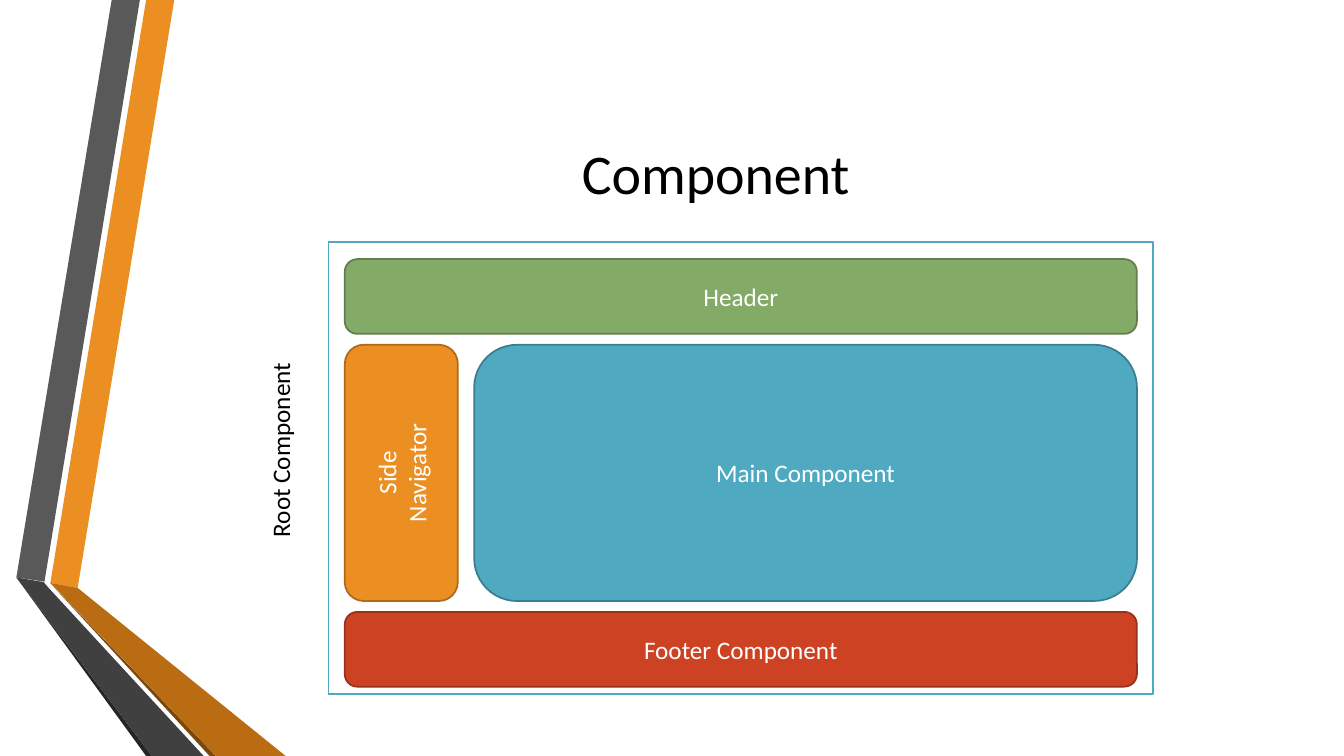
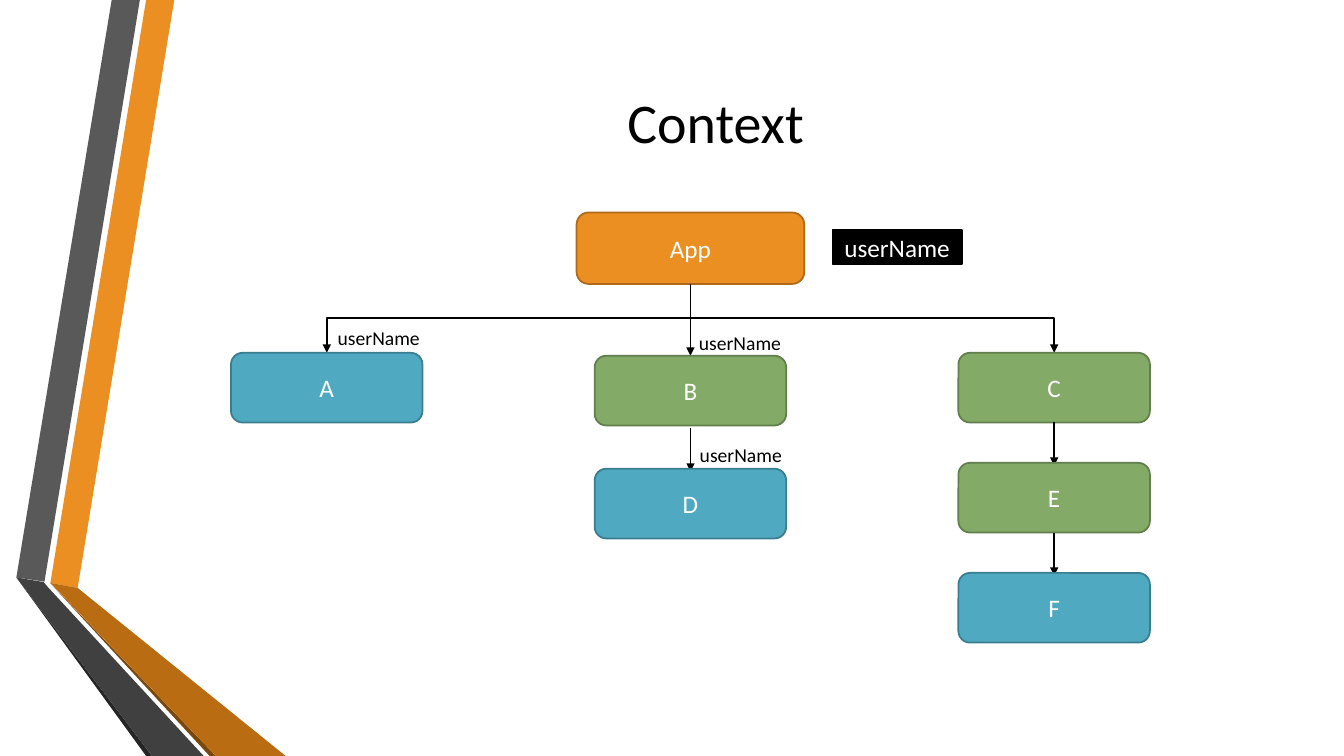
import dataclasses
import pptx
import pptx.util
import pptx.dml.color
import pptx.enum.shapes
import pptx.enum.text
import pptx.oxml.ns
import lxml.etree

COLS, ROWS = 160, 90
CELL = pptx.util.Inches(1) // 12
FORM = pptx.enum.shapes.MSO_SHAPE
WIRE = pptx.enum.shapes.MSO_CONNECTOR
ALIGN = pptx.enum.text.PP_ALIGN
ANCHOR = pptx.enum.text.MSO_ANCHOR
qn = pptx.oxml.ns.qn


@dataclasses.dataclass(frozen=True)
class Theme:
    font: str = "Calibri"
    head: int = 40
    text: int = 18
    small: int = 14
    line: float = 1.25
    black: str = "000000"
    white: str = "FFFFFF"
    green: tuple = ("83AA67", "617E4C")
    amber: tuple = ("EB8F22", "AE6A19")
    red: tuple = ("CD4223", "98311A")
    blue: tuple = ("4FA9C1", "3A7D8F")
    plain: tuple = ("FFFFFF", "4FA9C1")
    dark: tuple = ("000000", "000000")


@dataclasses.dataclass(frozen=True)
class Box:
    x: float
    y: float
    w: float
    h: float

    def inner(self, x, y, w, h):
        return Box(self.x + x, self.y + y, w, h)

    @property
    def mid(self):
        return self.x + self.w / 2

    @property
    def base(self):
        return self.y + self.h

    def emu(self):
        return [cells(v) for v in (self.x, self.y, self.w, self.h)]


THEME = Theme()
BANDS = [
    ("EB8F22", [(6, 69.4), (9.25, 70), (20.75, 0), (17.4, 0)]),
    ("595959", [(16.65, 0), (13.3, 0), (1.95, 68.75), (5.3, 69.25)]),
    ("262626", [(1.95, 68.75), (17.4, 90), (18.1, 90)]),
    ("7B480B", [(6, 69.45), (24.95, 90), (25.7, 90)]),
    ("B96C11", [(6, 69.4), (25.7, 90), (34, 90), (9.25, 70)]),
    ("404040", [(24.25, 90), (5.75, 69.95), (5.2, 69.3), (1.95, 68.75), (18.1, 90)]),
]


def cells(n):
    return pptx.util.Emu(round(n * CELL))


def rgb(code):
    return pptx.dml.color.RGBColor.from_string(code)


def write(shape, text, size=THEME.text, color=THEME.white, align=ALIGN.CENTER,
          anchor=ANCHOR.MIDDLE, wrap=True, turn=False):
    frame = shape.text_frame
    frame.text = text
    frame.word_wrap = wrap
    frame.vertical_anchor = anchor
    if turn:
        shape.element.find(".//" + qn("a:bodyPr")).set("vert", "vert270")
    for para in frame.paragraphs:
        para.alignment = align
        font = para.runs[0].font
        font.name = THEME.font
        font.size = pptx.util.Pt(size)
        font.color.rgb = rgb(color)


def paint(shape, fill, edge=None):
    shape.shadow.inherit = False
    shape.fill.solid()
    shape.fill.fore_color.rgb = rgb(fill)
    if edge:
        shape.line.color.rgb = rgb(edge)
        shape.line.width = pptx.util.Pt(THEME.line)
    else:
        shape.line.fill.background()


def block(slide, box, tone, text="", form=FORM.ROUNDED_RECTANGLE, **style):
    shape = slide.shapes.add_shape(form, *box.emu())
    paint(shape, *tone)
    if text:
        write(shape, text, **style)


def label(slide, box, text, **style):
    shape = slide.shapes.add_textbox(*box.emu())
    write(shape, text, color=THEME.black, **style)


def wire(slide, kind, *ends):
    link = slide.shapes.add_connector(kind, *[cells(v) for v in ends])
    link.line.color.rgb = rgb(THEME.black)
    link.line.width = pptx.util.Pt(THEME.line)
    props = link.element.spPr
    tip = lxml.etree.SubElement(props.find(qn("a:ln")), qn("a:tailEnd"))
    tip.set("type", "triangle")
    lxml.etree.SubElement(props, qn("a:effectLst"))
    return link


def drop(slide, x, top, end):
    wire(slide, WIRE.STRAIGHT, x, top, x, end)


def bend(slide, x, top, far, end):
    side = 1 if far > x else -1
    half, reach = side * (end - top) / 2, abs(far - x) / 2
    mx, my = (x + far) / 2, (top + end) / 2
    link = wire(slide, WIRE.ELBOW, mx + half, my - reach, mx - half, my + reach)
    turn = 270 if side > 0 else 90
    link.element.spPr.find(qn("a:xfrm")).set("rot", str(turn * 60000))


def bands(slide, layout):
    for spot, (tone, points) in enumerate(BANDS, 2):
        ends = [(cells(x), cells(y)) for x, y in points]
        pen = slide.shapes.build_freeform(*ends[0])
        pen.add_line_segments(ends[1:], close=True)
        shape = pen.convert_to_shape()
        paint(shape, tone)
        layout.shapes.element.insert(spot, shape.element)


def title(slide, text, rows):
    shape = slide.shapes.title
    shape.left, shape.top, shape.width, shape.height = Box(19.45, 9, 131.5, rows).emu()
    write(shape, text, size=THEME.head, color=THEME.black)


def panel(slide, box):
    pad, gap, bar, side = 1.95, 1.3, 8.9, 13.45
    wide = box.w - 2 * pad
    top = 2.05
    mid = top + bar + gap
    tall = box.h - top - 2 * (bar + gap) - 0.85
    main = pad + side + pad
    block(slide, box, THEME.plain, form=FORM.RECTANGLE)
    block(slide, box.inner(pad, top, wide, bar), THEME.green, "Header")
    block(slide, box.inner(pad, mid, side, tall), THEME.amber, "Side\nNavigator", turn=True)
    block(slide, box.inner(pad, mid + tall + gap, wide, bar), THEME.red, "Footer Component")
    block(slide, box.inner(main, mid, box.w - main - pad, tall), THEME.blue, "Main Component")
    label(slide, box.inner(-8.15, 13.8, 6, 22.55), "Root Component",
          align=ALIGN.LEFT, anchor=ANCHOR.TOP, wrap=False, turn=True)


def chain(slide, box, nodes, lag=0):
    wide, tall, gap, tip = 22.8, 8.3, 4.8, 5.15
    for i, (name, tone) in enumerate(nodes):
        node = box.inner(0, i * (tall + gap + lag), wide, tall)
        if i:
            above = node.y - gap
            drop(slide, node.mid, above, above + tip)
        block(slide, node, tone, name)


def tree(slide, box):
    wide, step, row = 22.8, 43.3, 16.7
    app = box.inner((box.w - 27.1) / 2, 0, 27.1, 8.5)
    block(slide, app, THEME.amber, "App")
    groups = [
        (0, [("A", THEME.blue)]),
        (0.35, [("B", THEME.green), ("D", THEME.blue)]),
        (0, [("C", THEME.green), ("E", THEME.green), ("F", THEME.blue)]),
    ]
    for i, (lag, nodes) in enumerate(groups):
        spot = box.inner(i * step, row + lag, wide, box.h - row - lag)
        if i == 1:
            drop(slide, app.mid, app.base, spot.y)
        else:
            bend(slide, app.mid, app.base, spot.mid, spot.y)
        chain(slide, spot, nodes, lag)
    tag = (15.4, 4.1)
    block(slide, box.inner(71.6, 2.05, *tag), THEME.dark, "userName", form=FORM.RECTANGLE)
    for x, y in [(9.9, 12.9), (52.9, 13.5), (53, 26.8)]:
        label(slide, box.inner(x, y, *tag), "userName", size=THEME.small)


def main():
    deck = pptx.Presentation()
    deck.slide_width, deck.slide_height = cells(COLS), cells(ROWS)
    layout = deck.slide_layouts[5]
    pages = [
        ("Component", 23, panel, Box(39.1, 28.8, 98.2, 53.8)),
        ("Context", 10.9, tree, Box(27.5, 25.3, 109.4, 51.2)),
    ]
    for i, (name, rows, draw, box) in enumerate(pages):
        slide = deck.slides.add_slide(layout)
        if i == 0:
            bands(slide, layout)
        title(slide, name, rows)
        draw(slide, box)
    deck.save("out.pptx")


if __name__ == "__main__":
    main()
